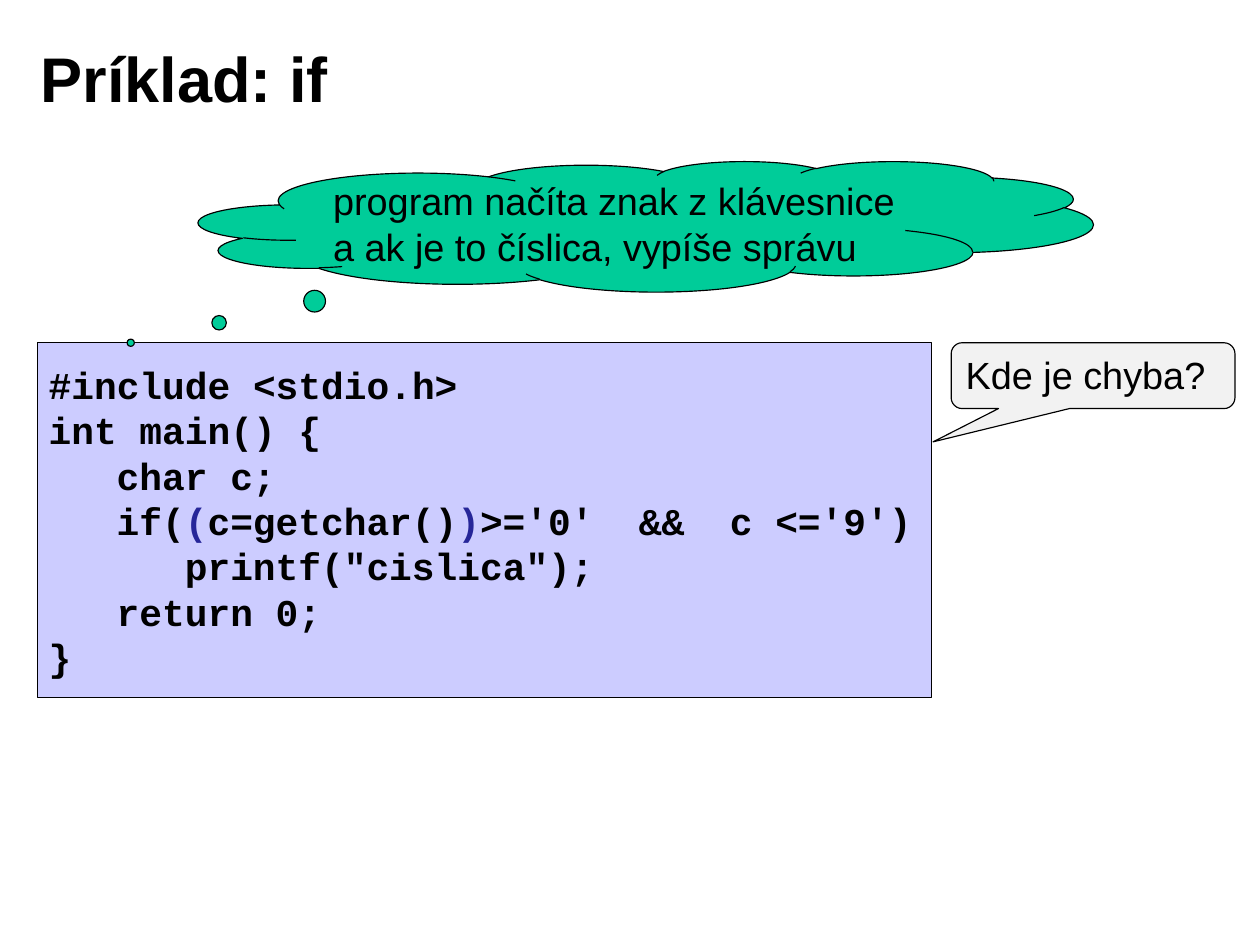
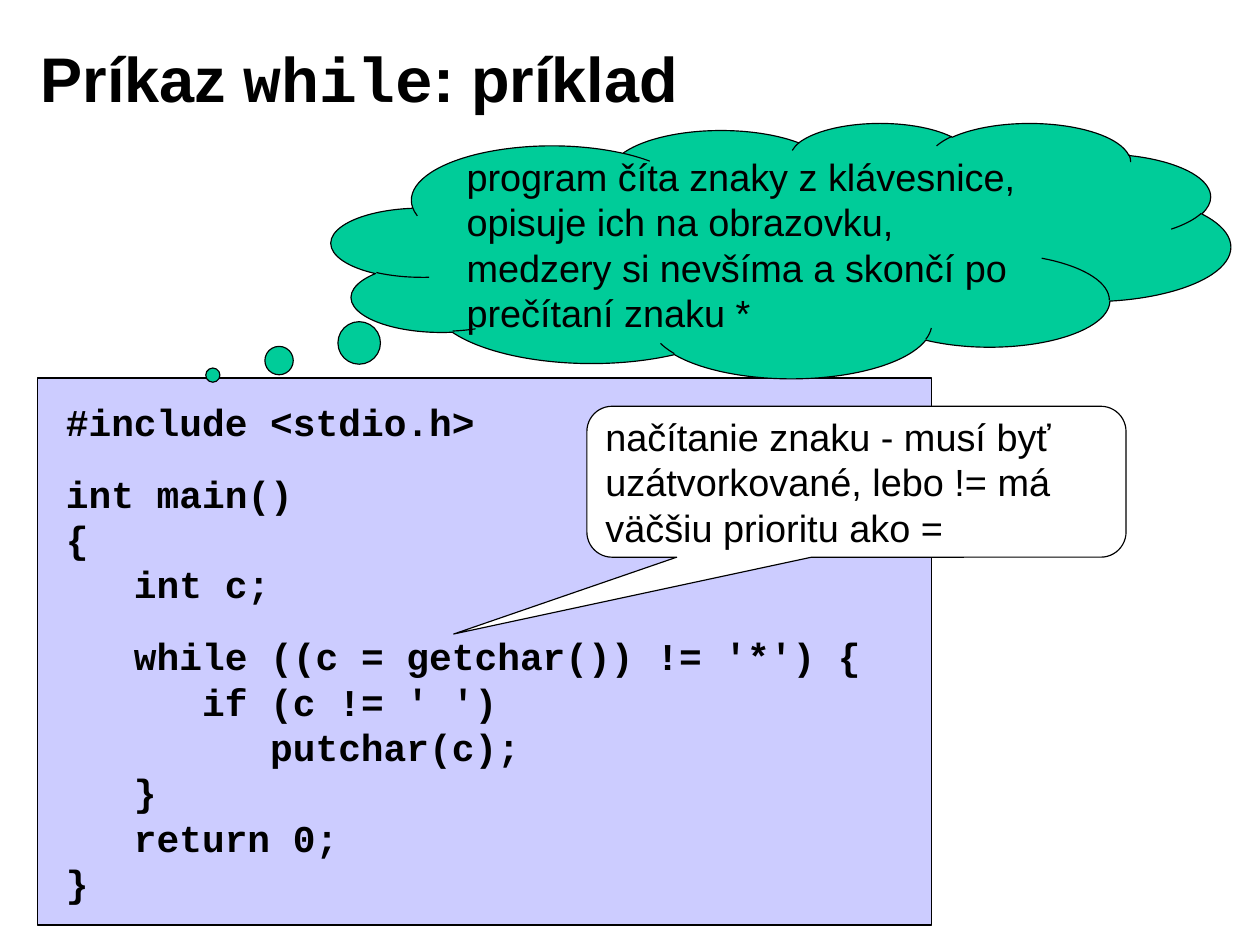
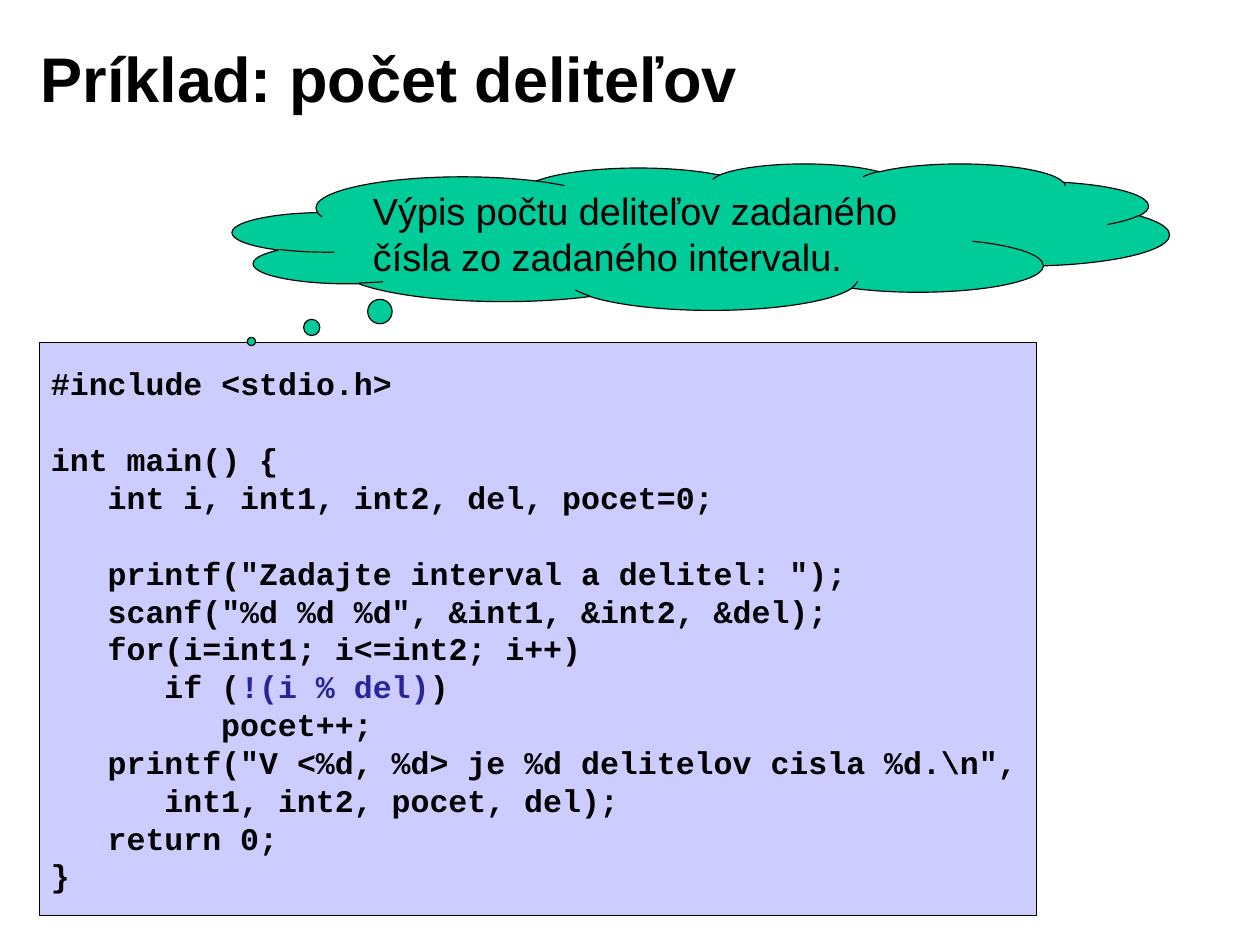
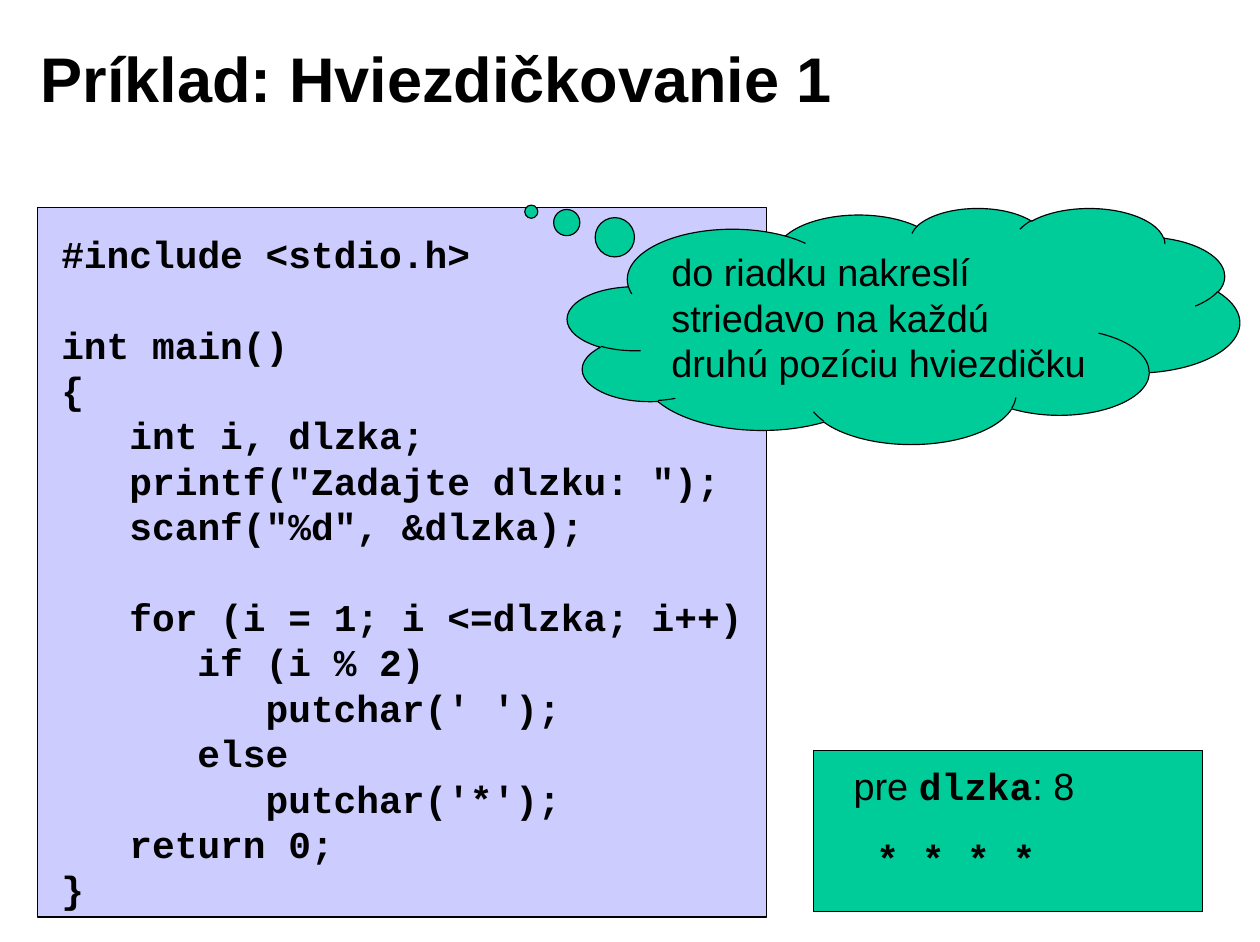
from dataclasses import dataclass
from pptx import Presentation
from pptx.dml.color import RGBColor
from pptx.enum.shapes import MSO_SHAPE
from pptx.enum.text import MSO_ANCHOR, PP_ALIGN
from pptx.util import Inches, Pt

SANS, MONO = "Arial", "Courier New"
BLACK, BLUE, LILAC, GREEN = "000000", "262699", "CCCCFF", "00CC99"
GRAY, WHITE = "F2F2F2", "FFFFFF"
MARK = "`"
Box = tuple[float, float, float, float]


@dataclass(frozen=True)
class Style:
    form: MSO_SHAPE
    fill: str
    font: str = SANS
    bold: bool = False
    accent: str = BLACK
    before: float = 0


CODE = Style(MSO_SHAPE.RECTANGLE, LILAC, MONO, True, BLUE)
CLOUD = Style(MSO_SHAPE.CLOUD_CALLOUT, GREEN, before=6)
RESULT = Style(MSO_SHAPE.RECTANGLE, GREEN)
ASK = Style(MSO_SHAPE.ROUNDED_RECTANGULAR_CALLOUT, GRAY)
HINT = Style(MSO_SHAPE.ROUNDED_RECTANGULAR_CALLOUT, WHITE)


@dataclass(frozen=True)
class Panel:
    style: Style
    box: Box
    text: str
    size: int = 24
    gap: float = 0
    left: float = 0.1
    top: float = 0.05
    middle: bool = True
    tip: tuple[float, ...] = ()


@dataclass(frozen=True)
class Page:
    title: str
    panels: tuple[Panel, ...]


def shade(part, tone: str) -> None:
    part.rgb = RGBColor.from_string(tone)


def place(shape, box: Box) -> None:
    shape.left, shape.top, shape.width, shape.height = map(Inches, box)


def write(par, text: str, size: int, font: str, bold: bool, accent: str) -> None:
    par.alignment = PP_ALIGN.LEFT
    par.font.size, par.font.name, par.font.bold = Pt(size), font, bold
    shade(par.font.color, BLACK)
    for i, part in enumerate(text.split(MARK)):
        if part:
            run = par.add_run()
            run.text = part
            if i % 2:
                run.font.name, run.font.bold = MONO, True
                shade(run.font.color, accent)


def fill_text(frame, panel: Panel) -> None:
    style, size = panel.style, panel.size
    before, first = style.before, True
    for line in panel.text.split("\n"):
        if not line:
            before = panel.gap * 1.2
            continue
        par = frame.paragraphs[0] if first else frame.add_paragraph()
        first = False
        words = line.lstrip()
        write(par, words, size, style.font, style.bold, style.accent)
        par.space_before, par.line_spacing = Pt(before), Pt(size * 1.2)
        depth = len(line) - len(words)
        if depth:
            props = par._p.get_or_add_pPr()
            props.set("marL", str(Pt(depth * size * 0.6)))
            props.set("indent", "0")
        before = 0


def draw(slide, panel: Panel) -> None:
    shape = slide.shapes.add_shape(panel.style.form, *map(Inches, panel.box))
    shape.shadow.inherit = False
    shape.fill.solid()
    shade(shape.fill.fore_color, panel.style.fill)
    shade(shape.line.color, BLACK)
    shape.line.width = Pt(0.75)
    for i, value in enumerate(panel.tip):
        shape.adjustments[i] = value
    frame = shape.text_frame
    frame.word_wrap = True
    frame.vertical_anchor = MSO_ANCHOR.MIDDLE if panel.middle else MSO_ANCHOR.TOP
    frame.margin_left, frame.margin_top = Inches(panel.left), Inches(panel.top)
    frame.margin_right, frame.margin_bottom = Inches(0.1), Inches(0.05)
    fill_text(frame, panel)


def build(deck, page: Page) -> None:
    slide = deck.slides.add_slide(deck.slide_layouts[5])
    title = slide.shapes.title
    place(title, (0.25, 0.17, 8.92, 1.02))
    frame = title.text_frame
    frame.vertical_anchor = MSO_ANCHOR.MIDDLE
    frame.margin_left = frame.margin_right = Inches(0.11)
    frame.margin_top = frame.margin_bottom = Inches(0.06)
    write(frame.paragraphs[0], page.title, 40, SANS, True, BLACK)
    for panel in page.panels:
        draw(slide, panel)


DIGIT = """#include <stdio.h>
int main() {
   char c;
   if(`(`c=getchar()`)`>='0'  &&  c <='9')
      printf("cislica");
   return 0;
}"""

LOOP = """#include <stdio.h>

int main()
{
   int c;

   while ((c = getchar()) != '*') {
      if (c != ' ')
         putchar(c);
   }
   return 0;
}"""

COUNT = r"""#include <stdio.h>

int main() {
   int i, int1, int2, del, pocet=0;

   printf("Zadajte interval a delitel: ");
   scanf("%d %d %d", &int1, &int2, &del);
   for(i=int1; i<=int2; i++)
      if (`!(i % del)`)
         pocet++;
   printf("V <%d, %d> je %d delitelov cisla %d.\n",
      int1, int2, pocet, del);
   return 0;
}"""

STARS = """#include <stdio.h>

int main()
{
   int i, dlzka;
   printf("Zadajte dlzku: ");
   scanf("%d", &dlzka);

   for (i = 1; i <=dlzka; i++)
      if (i % 2)
         putchar(' ');
      else
         putchar('*');
   return 0;
}"""

PAGES = (
    Page("Príklad: if", (
        Panel(CODE, (0.33, 3.02, 7.88, 3.13), DIGIT),
        Panel(CLOUD, (1.75, 1.42, 7.88, 1.15),
              "program načíta znak z klávesnice a ak je to číslica, vypíše správu",
              tip=(-0.576, 0.891)),
        Panel(ASK, (8.38, 3.02, 2.5, 0.58), "Kde je chyba?",
              middle=False, tip=(-0.564, 1.006, 0.167)),
    )),
    Page("Príkaz `while`: príklad", (
        Panel(CODE, (0.33, 3.33, 7.88, 4.82), LOOP, gap=14,
              left=0.25, top=0.18, middle=False),
        Panel(CLOUD, (2.92, 1.08, 7.92, 2.25),
              "program číta znaky z klávesnice, opisuje ich na obrazovku, "
              "medzery si nevšíma a skončí po prečítaní znaku *",
              tip=(-0.632, 0.489)),
        Panel(HINT, (5.17, 3.58, 4.75, 1.33),
              "načítanie znaku - musí byť uzátvorkované, lebo != má "
              "väčšiu prioritu ako =",
              tip=(-0.747, 1.009, 0.167)),
    )),
    Page("Príklad: počet deliteľov", (
        Panel(CODE, (0.35, 3.02, 8.78, 5.05), COUNT, size=20, gap=20),
        Panel(CLOUD, (2.05, 1.44, 8.25, 1.29),
              "Výpis počtu deliteľov zadaného čísla zo zadaného intervalu.",
              tip=(-0.48, 0.716)),
    )),
    Page("Príklad: Hviezdičkovanie 1", (
        Panel(CODE, (0.33, 1.83, 6.42, 6.25), STARS, gap=24,
              left=0.21, top=0.2, middle=False),
        Panel(RESULT, (7.17, 6.61, 3.42, 1.42), "pre `dlzka`: 8\n\n `* * * *`",
              gap=14, left=0.35, top=0.11, middle=False),
        Panel(CLOUD, (5, 1.83, 5.92, 2.08),
              "do riadku nakreslí striedavo na každú druhú pozíciu hviezdičku",
              middle=False, tip=(-0.554, -0.483)),
    )),
)

deck = Presentation()
deck.slide_width, deck.slide_height = Inches(11.1), Inches(8.3)
for page in PAGES:
    build(deck, page)
deck.save("out.pptx")
